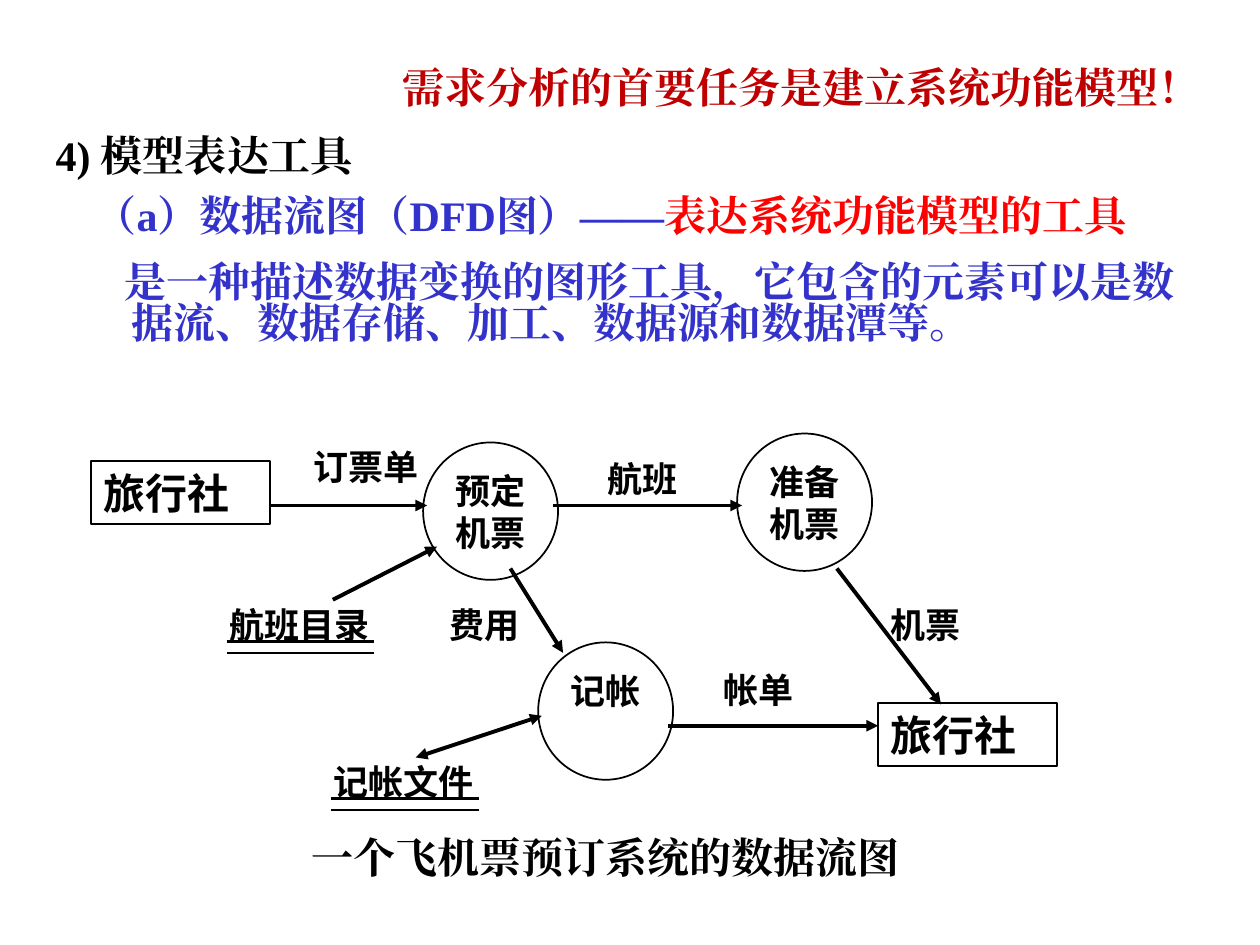
from dataclasses import dataclass

from lxml.etree import SubElement
from pptx import Presentation
from pptx.dml.color import RGBColor
from pptx.enum.shapes import MSO_CONNECTOR, MSO_SHAPE
from pptx.enum.text import MSO_ANCHOR, MSO_AUTO_SIZE, PP_ALIGN
from pptx.oxml.ns import qn
from pptx.util import Cm, Pt


@dataclass(frozen=True)
class Theme:
    black: RGBColor = RGBColor(0x00, 0x00, 0x00)
    blue: RGBColor = RGBColor(0x33, 0x33, 0xCC)
    red: RGBColor = RGBColor(0xFF, 0x00, 0x00)
    dark_red: RGBColor = RGBColor(0xC0, 0x00, 0x00)
    large: Pt = Pt(24)
    small: Pt = Pt(20)
    outline: Pt = Pt(1)
    underline: Pt = Pt(1.5)
    flow: Pt = Pt(2.25)
    serif: str = "Times New Roman"
    sans: str = "Noto Sans CJK SC"


THEME = Theme()
CIRCLE = (2.72, 2.77)
ENTITY = (3.61, 1.27)
LABEL_HEIGHT = 1.12


def format_paragraph(p, size, color=THEME.black, face=THEME.serif, align=PP_ALIGN.LEFT):
    p.alignment = align
    p.font.size = size
    p.font.bold = True
    p.font.color.rgb = color
    p.font.name = face
    SubElement(p.font._element, qn("a:ea")).set("typeface", face)


def hang(p, first_line):
    """Indent the paragraph, with its first line offset in cm from the rest."""
    pPr = p._p.get_or_add_pPr()
    pPr.set("marL", str(Cm(1.7)))
    pPr.set("indent", str(Cm(first_line)))


def add_text(s, left, top, width, height):
    tf = s.shapes.add_textbox(Cm(left), Cm(top), Cm(width), Cm(height)).text_frame
    tf.word_wrap = True
    return tf


def add_title(s, text):
    sp = s.shapes.title
    sp.left, sp.top, sp.width, sp.height = Cm(6.91), Cm(1.12), Cm(18.49), Cm(1.27)
    tf = sp.text_frame
    tf.auto_size = MSO_AUTO_SIZE.NONE
    tf.vertical_anchor = MSO_ANCHOR.TOP
    tf.text = text
    format_paragraph(tf.paragraphs[0], THEME.large, THEME.dark_red, align=PP_ALIGN.CENTER)


def add_heading(s, text):
    p = add_text(s, 0.3, 2.49, 23.6, 2.82).paragraphs[0]
    p.text = text
    hang(p, -1.13)
    format_paragraph(p, THEME.large)


def add_definition(s, term, purpose, explanation):
    tf = add_text(s, 0.71, 3.89, 23.6, 3.23)
    first, second = tf.paragraphs[0], tf.add_paragraph()
    first.add_run().text = term
    r = first.add_run()
    r.text = purpose
    r.font.color.rgb = THEME.red
    second.text = explanation
    second.space_before = Pt(15)
    for p, indent in ((first, -0.75), (second, -0.15)):
        hang(p, indent)
        p.line_spacing = 0.8
        format_paragraph(p, THEME.large, THEME.blue)


def add_node(s, shape, left, top, size):
    width, height = size
    sp = s.shapes.add_shape(shape, Cm(left), Cm(top), Cm(width), Cm(height))
    sp.shadow.inherit = False
    sp.fill.background()
    sp.line.color.rgb = THEME.black
    sp.line.width = THEME.outline
    return sp.text_frame


def add_entity(s, text, left, top):
    tf = add_node(s, MSO_SHAPE.RECTANGLE, left, top, ENTITY)
    tf.vertical_anchor = MSO_ANCHOR.TOP
    tf.text = text
    format_paragraph(tf.paragraphs[0], THEME.large, face=THEME.sans)


def add_process(s, text, left, top):
    tf = add_node(s, MSO_SHAPE.OVAL, left, top, CIRCLE)
    tf.vertical_anchor = MSO_ANCHOR.MIDDLE
    tf.word_wrap = False
    tf.text = text
    for p in tf.paragraphs:
        format_paragraph(p, THEME.small, face=THEME.sans, align=PP_ALIGN.CENTER)
    return tf


def add_label(s, text, left, top, width):
    p = add_text(s, left, top, width, LABEL_HEIGHT).paragraphs[0]
    p.text = text
    format_paragraph(p, THEME.small, face=THEME.sans)


def add_line(s, x1, y1, x2, y2, width, arrows=()):
    """Draw a straight line; arrows names its ends with a triangle, headEnd first."""
    line = s.shapes.add_connector(MSO_CONNECTOR.STRAIGHT, Cm(x1), Cm(y1), Cm(x2), Cm(y2))
    line.line.color.rgb = THEME.black
    line.line.width = width
    ln = line.line._get_or_add_ln()
    for end in arrows:
        SubElement(ln, qn(f"a:{end}")).set("type", "triangle")
    SubElement(line._element.spPr, qn("a:effectLst"))


def add_data_store(s, text, left, top):
    """Label a data store and rule it off with a double line."""
    add_label(s, text, left, top, 3.61)
    for drop in (0.89, 1.12):
        add_line(s, left + 0.2, top + drop, left + 3.17, top + drop, THEME.underline)


def add_diagram(s):
    add_entity(s, "旅行社", 1.83, 9.3)
    add_entity(s, "旅行社", 17.7, 14.17)

    add_process(s, "预定\n机票", 8.53, 8.92)
    add_process(s, "准备\n机票", 14.86, 8.74)
    add_process(s, "记帐", 10.85, 12.95).margin_bottom = Cm(0.97)

    for text, left, top, width in (
        ("订票单", 6.07, 8.86, 2.74),
        ("航班", 11.99, 9.09, 2.34),
        ("费用", 8.81, 12.04, 2.11),
        ("机票", 17.7, 12.04, 2.11),
        ("帐单", 14.33, 13.36, 2.34),
    ):
        add_label(s, text, left, top, width)

    add_data_store(s, "航班目录", 4.37, 12.04)
    add_data_store(s, "记帐文件", 6.48, 15.21)

    for ends in (
        (5.44, 10.19, 8.61, 10.19),
        (11.15, 10.19, 14.96, 10.19),
        (16.87, 11.46, 18.97, 14.2),
        (10.29, 11.46, 11.35, 13.16),
        (13.46, 14.63, 17.7, 14.63),
        (6.71, 12.09, 8.81, 11.02),
    ):
        add_line(s, *ends, THEME.flow, ("tailEnd",))
    add_line(s, 8.38, 15.27, 10.92, 14.43, THEME.flow, ("headEnd", "tailEnd"))


def add_caption(s, text):
    p = add_text(s, 4.9, 16.64, 14.61, 1.27).paragraphs[0]
    p.text = text
    format_paragraph(p, THEME.large, align=PP_ALIGN.CENTER)


def main():
    prs = Presentation()
    prs.slide_width, prs.slide_height = Cm(25.4), Cm(19.05)
    s = prs.slides.add_slide(prs.slide_layouts[5])
    add_title(s, "需求分析的首要任务是建立系统功能模型！")
    add_heading(s, "4) 模型表达工具")
    add_definition(
        s,
        "（a）数据流图（DFD图）——",
        "表达系统功能模型的工具",
        "是一种描述数据变换的图形工具，它包含的元素可以是数据流、数据存储、加工、数据源和数据潭等。",
    )
    add_diagram(s)
    add_caption(s, "一个飞机票预订系统的数据流图")
    prs.save("out.pptx")


if __name__ == "__main__":
    main()
